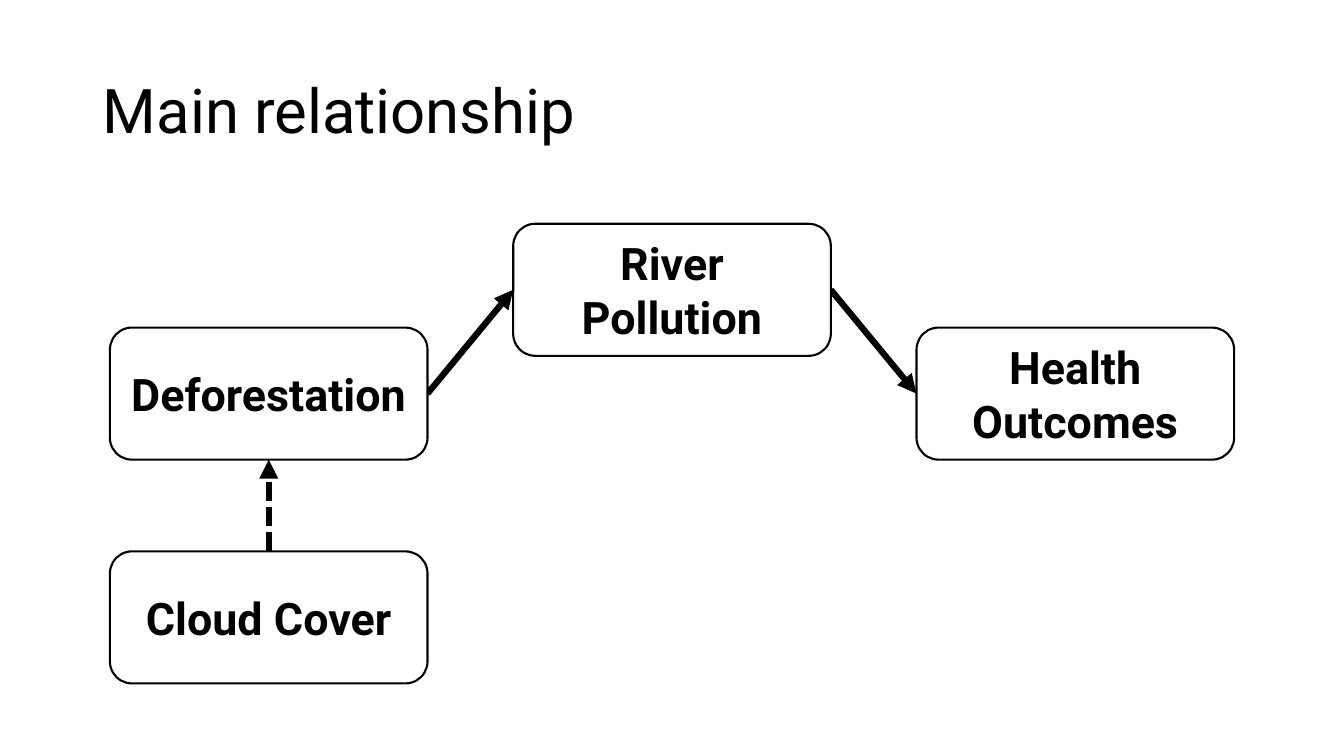
from lxml.etree import SubElement
from pptx import Presentation
from pptx.dml.color import RGBColor
from pptx.enum.dml import MSO_LINE
from pptx.enum.shapes import MSO_CONNECTOR, MSO_SHAPE
from pptx.enum.text import MSO_ANCHOR, MSO_AUTO_SIZE, PP_ALIGN
from pptx.oxml.ns import qn
from pptx.util import Inches, Pt

BLACK = RGBColor(0x00, 0x00, 0x00)
WHITE = RGBColor(0xFF, 0xFF, 0xFF)
FONT = "Roboto"
BOX_WIDTH, BOX_HEIGHT = 3.15, 1.31
COLUMN_LEFT, COLUMN_STEP = 1.09, 4.0
TOP, LEFT, BOTTOM, RIGHT = range(4)


def write_text(shape, text, size, bold, alignment):
    frame = shape.text_frame
    frame.text = text
    frame.word_wrap = True
    frame.auto_size = MSO_AUTO_SIZE.NONE
    frame.vertical_anchor = MSO_ANCHOR.MIDDLE
    para = frame.paragraphs[0]
    para.alignment = alignment
    font = para.runs[0].font
    for name, value in {"name": FONT, "size": Pt(size), "bold": bold}.items():
        setattr(font, name, value)
    font.color.rgb = BLACK


deck = Presentation()
deck.slide_width = Inches(13.33)
deck.slide_height = Inches(7.5)
page = deck.slides.add_slide(deck.slide_layouts[5])

title = page.shapes.title
title.left, title.top = Inches(0.92), Inches(0.4)
title.width, title.height = Inches(11.5), Inches(1.45)
write_text(title, "Main relationship", 44, False, PP_ALIGN.LEFT)
title.text_frame.paragraphs[0].line_spacing = 0.9

# Label, column, top in inches
variables = [
    ("Deforestation", 0, 3.25),
    ("Health Outcomes", 2, 3.25),
    ("River Pollution", 1, 2.22),
    ("Cloud Cover", 0, 5.47),
]
boxes = {}
for label, column, top in variables:
    box = page.shapes.add_shape(
        MSO_SHAPE.ROUNDED_RECTANGLE,
        Inches(COLUMN_LEFT + column * COLUMN_STEP), Inches(top),
        Inches(BOX_WIDTH), Inches(BOX_HEIGHT),
    )
    box.shadow.inherit = False
    box.fill.solid()
    box.fill.fore_color.rgb = WHITE
    box.line.color.rgb = BLACK
    box.line.width = Pt(1.5)
    write_text(box, label, 32, True, PP_ALIGN.CENTER)
    boxes[label] = box

effects = [
    ("Deforestation", RIGHT, "River Pollution", LEFT, MSO_LINE.SOLID),
    ("River Pollution", RIGHT, "Health Outcomes", LEFT, MSO_LINE.SOLID),
    ("Cloud Cover", TOP, "Deforestation", BOTTOM, MSO_LINE.SQUARE_DOT),
]
for cause, cause_side, outcome, outcome_side, dash in effects:
    arrow = page.shapes.add_connector(MSO_CONNECTOR.STRAIGHT, 0, 0, 0, 0)
    arrow.begin_connect(boxes[cause], cause_side)
    arrow.end_connect(boxes[outcome], outcome_side)
    arrow.line.color.rgb = BLACK
    arrow.line.width = Pt(4.5)
    arrow.line.dash_style = dash
    properties = arrow.element.spPr
    SubElement(properties.find(qn("a:ln")), qn("a:tailEnd"), type="triangle")
    SubElement(properties, qn("a:effectLst"))
    # Arrows lie behind the title and the boxes
    title.element.addprevious(arrow.element)

deck.save("out.pptx")
